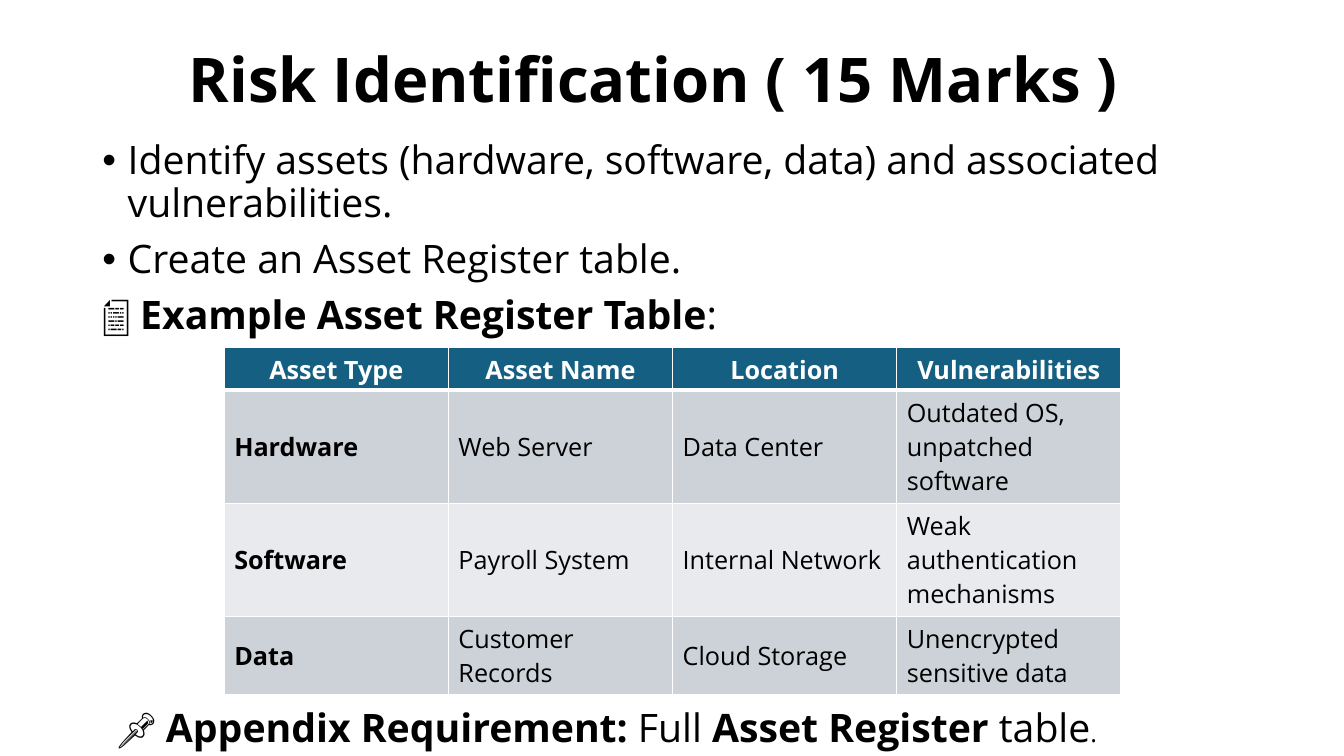
import pptx
import pptx.dml.color
import pptx.enum.text
import pptx.oxml
import pptx.oxml.ns
import pptx.util
from pptx.util import Cm

ALIGN = pptx.enum.text.PP_ALIGN
MIDDLE = pptx.enum.text.MSO_ANCHOR.MIDDLE
COLORS = {"text": "000000", "white": "FFFFFF", "header": "156082",
          "band_dark": "CCD2D8", "band_light": "E8EAED"}
ASSETS = [
    ["Asset Type", "Asset Name", "Location", "Vulnerabilities"],
    ["Hardware", "Web Server", "Data Center", "Outdated OS, unpatched software"],
    ["Software", "Payroll System", "Internal Network", "Weak authentication mechanisms"],
    ["Data", "Customer Records", "Cloud Storage", "Unencrypted sensitive data"],
]


class SlideBuilder:
    """Hold the text style and the current slide, and add its elements."""

    font = "Open Sans"

    def __init__(self, prs):
        self.s = prs.slides.add_slide(prs.slide_layouts[5])

    def color(self, name):
        return pptx.dml.color.RGBColor.from_string(COLORS[name])

    def style(self, p, size, color="text", bold=None):
        p.font.name = self.font
        p.font.size = pptx.util.Pt(size)
        p.font.color.rgb = self.color(color)
        p.font.bold = bold

    def title(self, text, box):
        sp = self.s.shapes.title
        sp.left, sp.top, sp.width, sp.height = box
        tf = sp.text_frame
        tf.text = text
        tf.vertical_anchor = MIDDLE
        p = tf.paragraphs[0]
        p.alignment = ALIGN.CENTER
        p.line_spacing = 0.9
        self.style(p, 44, bold=True)

    def text(self, paragraphs, box, size=28, spacing=None, before=0):
        tf = self.s.shapes.add_textbox(*box).text_frame
        tf.word_wrap = True
        for i, (bullet, runs) in enumerate(paragraphs):
            p = tf.paragraphs[0] if i == 0 else tf.add_paragraph()
            p.line_spacing = spacing
            p.space_before = pptx.util.Pt(before)
            if bullet:
                self.bullet(p)
            for text, bold, *run_size in runs:
                r = p.add_run()
                r.text = text
                r.font.name = self.font
                r.font.size = pptx.util.Pt(run_size[0] if run_size else size)
                r.font.bold = bold
                r.font.color.rgb = self.color("text")

    def bullet(self, p):
        props = p._p.get_or_add_pPr()
        props.set("marL", str(Cm(0.64)))
        props.set("indent", str(-Cm(0.64)))
        for tag, key, value in (("buFont", "typeface", "Arial"), ("buChar", "char", "•")):
            mark = pptx.oxml.parse_xml(
                f'<a:{tag} {pptx.oxml.ns.nsdecls("a")} {key}="{value}"/>')
            props.append(mark)

    def borders(self, cell, bottom):
        props = cell._tc.get_or_add_tcPr()
        for i, (tag, width) in enumerate((("lnL", 1), ("lnR", 1), ("lnT", 1), ("lnB", bottom))):
            line = pptx.oxml.parse_xml(
                f'<a:{tag} {pptx.oxml.ns.nsdecls("a")} w="{pptx.util.Pt(width)}">'
                f'<a:solidFill><a:srgbClr val="{COLORS["white"]}"/></a:solidFill></a:{tag}>')
            props.insert(i, line)

    def table(self, rows, left, top, col_width, heights):
        cols = len(rows[0])
        table = self.s.shapes.add_table(
            len(rows), cols, left, top, col_width * cols, sum(heights)).table
        for col in table.columns:
            col.width = col_width
        for i, (row, height) in enumerate(zip(rows, heights)):
            table.rows[i].height = height
            header = i == 0
            fill = "header" if header else "band_dark" if i % 2 else "band_light"
            for j, text in enumerate(row):
                cell = table.cell(i, j)
                cell.text = text
                cell.vertical_anchor = MIDDLE
                cell.fill.solid()
                cell.fill.fore_color.rgb = self.color(fill)
                self.borders(cell, 3 if header else 1)
                p = cell.text_frame.paragraphs[0]
                p.alignment = ALIGN.CENTER if header else ALIGN.LEFT
                self.style(p, 18, "white" if header else "text", header or j == 0)


def main():
    prs = pptx.Presentation()
    prs.slide_width, prs.slide_height = Cm(33.87), Cm(19.05)
    slide = SlideBuilder(prs)
    slide.title("Risk Identification ( 15 Marks )", (Cm(1.88), Cm(0.25), Cm(29.2), Cm(3.68)))
    slide.text([
        (True, [("Identify assets (hardware, software, data) and associated vulnerabilities.", False)]),
        (True, [("Create an Asset Register table.", False)]),
        (False, [("📄 ", False), ("Example Asset Register Table", True), (":", False)]),
    ], (Cm(2.33), Cm(3.43), Cm(29.2), Cm(5.94)), spacing=0.9, before=10)
    slide.table(ASSETS, Cm(5.65), Cm(8.75), Cm(5.65),
                [Cm(1.08), Cm(2.85), Cm(2.85), Cm(1.98)])
    slide.text([
        (False, [("📌 ", False), ("Appendix Requirement:", True), (" Full ", False),
                 ("Asset Register", True), (" table", False), (".", False, 18)]),
    ], (Cm(2.7), Cm(17.6), Cm(30.5), Cm(1.45)))
    prs.save("out.pptx")


if __name__ == "__main__":
    main()
